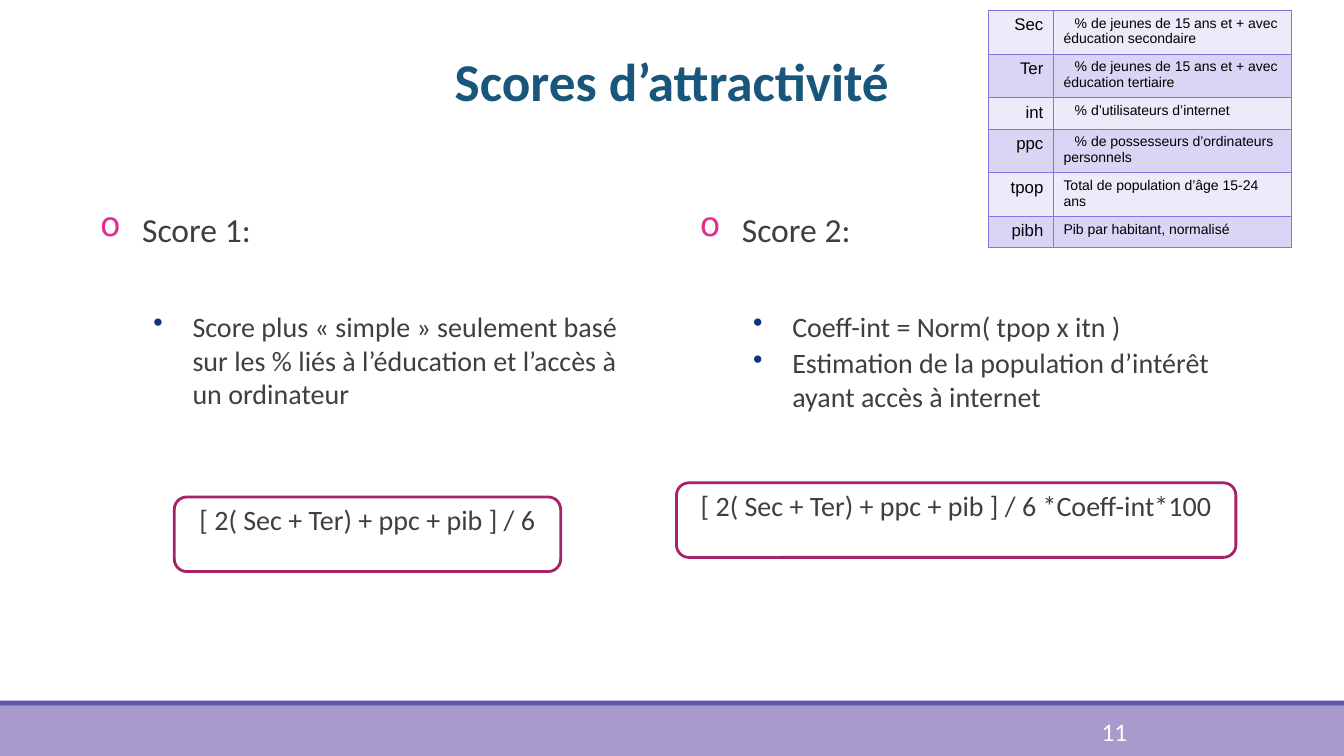
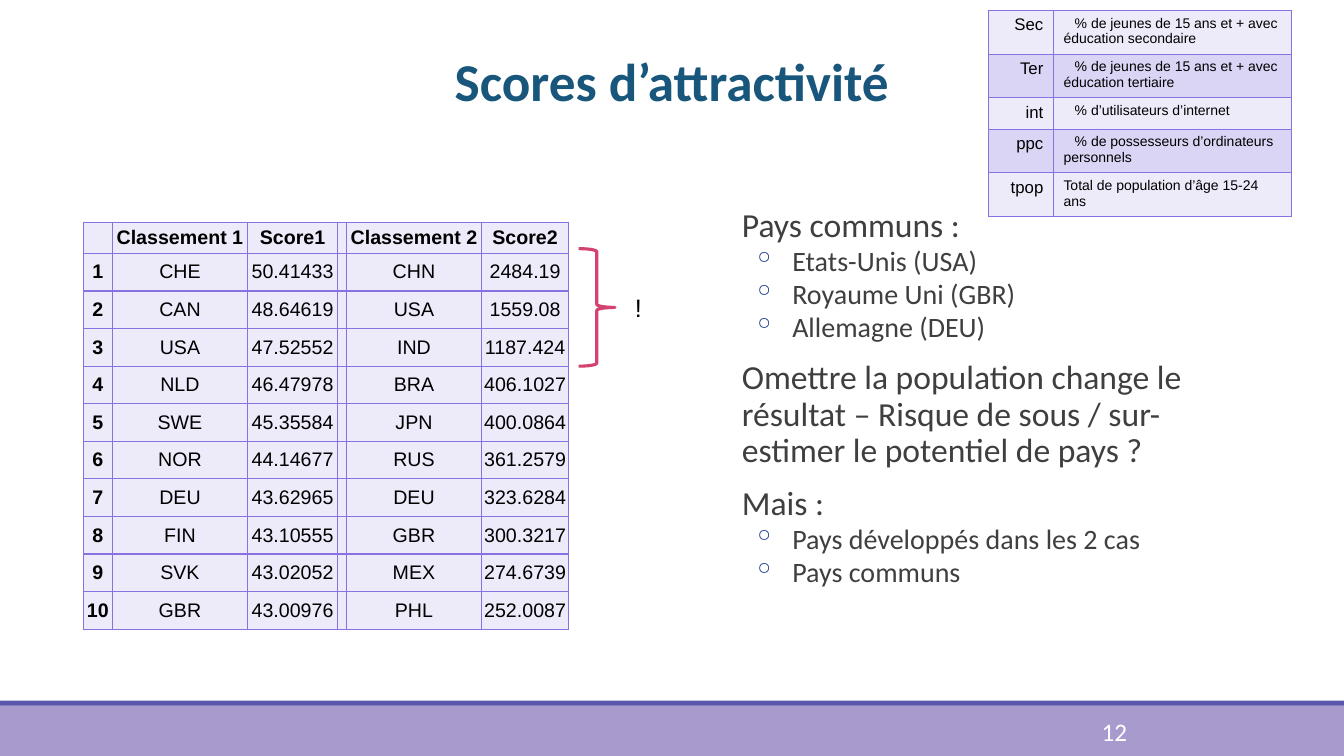
from lxml import etree
from pptx import Presentation
from pptx.dml.color import RGBColor
from pptx.enum.shapes import MSO_SHAPE as Preset
from pptx.enum.text import MSO_ANCHOR as Anchor, PP_ALIGN as Align
from pptx.oxml.ns import qn
from pptx.util import Pt

PAGE_WIDTH, PAGE_HEIGHT = 960, 540
TITLE = "Scores d’attractivité"
TITLE_COLOR, TEXT, BLACK, WHITE = "18567C", "3F3F3F", "000000", "FFFFFF"
PINK, NAVY, PLUM, ROSE = "E32D91", "113285", "A8216B", "D4426F"
CELL_LIGHT, CELL_DARK, CELL_BORDER = "EDEBF9", "DAD5F4", "8971E1"
BANDS = [(504, 36, "472993", 47), (500.4, 3.6, "211C8E", 74)]
BODY_TOP, BODY_HEIGHT = 145.4, 317
LEFT_BODY, RIGHT_BODY = 65.5, 493.9

# Key, meaning, row height, first-line indent
LEGEND = [
    ("Sec", "% de jeunes de 15 ans et + avec éducation secondaire", 29.5, 8),
    ("Ter", "% de jeunes de 15 ans et + avec éducation tertiaire", 29.5, 8),
    ("int", "% d’utilisateurs d’internet", 22.3, 8),
    ("ppc", "% de possesseurs d’ordinateurs personnels", 29.5, 8),
    ("tpop", "Total de population d’âge 15-24 ans", 29.5, 0),
    ("pibh", "Pib par habitant, normalisé", 22.3, 0),
]
RANKING_HEAD = ("", "Classement 1", "Score1", "", "Classement 2", "Score2")
RANKING = [
    ("CHE", "50.41433", "CHN", "2484.19"),
    ("CAN", "48.64619", "USA", "1559.08"),
    ("USA", "47.52552", "IND", "1187.424"),
    ("NLD", "46.47978", "BRA", "406.1027"),
    ("SWE", "45.35584", "JPN", "400.0864"),
    ("NOR", "44.14677", "RUS", "361.2579"),
    ("DEU", "43.62965", "DEU", "323.6284"),
    ("FIN", "43.10555", "GBR", "300.3217"),
    ("SVK", "43.02052", "MEX", "274.6739"),
    ("GBR", "43.00976", "PHL", "252.0087"),
]


def rgb(color):
    return RGBColor.from_string(color)


def points(*lengths):
    return [Pt(length) for length in lengths]


def add_span(para, text, size, color=TEXT, font="Calibri", bold=False):
    span = para.add_run()
    span.text = text
    span.font.size = Pt(size)
    span.font.name = font
    span.font.bold = bold
    span.font.color.rgb = rgb(color)


def set_indent(para, left, first=0, bullet=None, bullet_color=NAVY):
    props = para._p.get_or_add_pPr()
    props.set("marL", str(Pt(left)))
    props.set("indent", str(Pt(first)))
    if bullet:
        color = etree.SubElement(props, qn("a:buClr"))
        etree.SubElement(color, qn("a:srgbClr"), val=bullet_color)
        etree.SubElement(props, qn("a:buChar"), char=bullet)


def set_margins(target, left, top, right, bottom):
    """Set the inner margins of a text frame or a table cell."""
    target.margin_left, target.margin_top, target.margin_right, target.margin_bottom = points(
        left, top, right, bottom)


def add_text_box(page, left, top, width, height):
    frame = page.shapes.add_textbox(*points(left, top, width, height)).text_frame
    frame.word_wrap = True
    return frame


def add_body(page, left, width, items, spacing=1):
    """Add a text column; each item is (text, size, space before, indent arguments)."""
    frame = add_text_box(page, left, BODY_TOP, width, BODY_HEIGHT)
    set_margins(frame, 0, 3.6, 0, 3.6)
    for index, (text, size, before, indent) in enumerate(items):
        para = frame.add_paragraph() if index else frame.paragraphs[0]
        para.space_before = Pt(before)
        para.line_spacing = spacing
        set_indent(para, *indent)
        add_span(para, text, size)


def add_outline(page, preset, left, top, width, height, color, weight):
    shape = page.shapes.add_shape(preset, *points(left, top, width, height))
    shape.shadow.inherit = False
    shape.fill.background()
    shape.line.color.rgb = rgb(color)
    shape.line.width = Pt(weight)
    return shape


def add_formula(page, left, top, width, text):
    box = add_outline(page, Preset.ROUNDED_RECTANGLE, left, top, width, 53.3, PLUM, 2)
    frame = box.text_frame
    frame.word_wrap = True
    frame.vertical_anchor = Anchor.TOP
    set_margins(frame, 7.2, 1.5, 7.2, 3.6)
    frame.paragraphs[0].alignment = Align.CENTER
    add_span(frame.paragraphs[0], text, 20)


def add_plain_table(page, left, top, widths, heights):
    frame = page.shapes.add_table(len(heights), len(widths),
                                  *points(left, top, sum(widths), sum(heights)))
    table = frame.table
    table.first_row = table.horz_banding = False
    for column, width in zip(table.columns, widths):
        column.width = Pt(width)
    for row, height in zip(table.rows, heights):
        row.height = Pt(height)
    return table


def style_cell(cell, color):
    props = cell._tc.get_or_add_tcPr()
    for side in ("lnL", "lnR", "lnT", "lnB"):
        line = etree.SubElement(props, qn(f"a:{side}"), w=str(Pt(1)))
        fill = etree.SubElement(line, qn("a:solidFill"))
        etree.SubElement(fill, qn("a:srgbClr"), val=CELL_BORDER)
    cell.fill.solid()
    cell.fill.fore_color.rgb = rgb(color)


def add_legend(page, rows):
    table = add_plain_table(page, 706.3, 7.4, [46.2, 169.8], [row[2] for row in rows])
    for index, (key, meaning, _, indent) in enumerate(rows):
        key_cell, meaning_cell = table.cell(index, 0), table.cell(index, 1)
        for cell in (key_cell, meaning_cell):
            style_cell(cell, CELL_DARK if index % 2 else CELL_LIGHT)
        key_para = key_cell.text_frame.paragraphs[0]
        key_para.alignment = Align.RIGHT
        add_span(key_para, key, 12, BLACK, "Arial")
        meaning_para = meaning_cell.text_frame.paragraphs[0]
        set_indent(meaning_para, 0, indent)
        add_span(meaning_para, meaning, 10, BLACK, "Arial")


def add_ranking(page):
    rows = [RANKING_HEAD]
    for rank, (first, score1, second, score2) in enumerate(RANKING, 1):
        rows.append((str(rank), first, score1, "", second, score2))
    table = add_plain_table(page, 59.5, 158.7, [20.8, 96.6, 64.3, 6.3, 96.6, 62.2],
                            [22.3] + [26.85] * len(RANKING))
    for row, values in enumerate(rows):
        for column, value in enumerate(values):
            cell = table.cell(row, column)
            style_cell(cell, CELL_LIGHT)
            set_margins(cell, 0.7, 0, 0.7, 0)
            cell.vertical_anchor = Anchor.MIDDLE
            if value:
                para = cell.text_frame.paragraphs[0]
                para.alignment = Align.CENTER
                add_span(para, value, 14, BLACK, "Arial", row == 0 or column == 0)


def add_layout_bands(page):
    """Draw the bottom bands and move them to the layout that all slides share."""
    for index, (top, height, color, alpha) in enumerate(BANDS):
        band = page.shapes.add_shape(Preset.RECTANGLE, *points(0, top, PAGE_WIDTH, height))
        band.shadow.inherit = False
        band.fill.solid()
        band.fill.fore_color.rgb = rgb(color)
        band.line.fill.background()
        color_node = band.element.find(".//" + qn("a:srgbClr"))
        etree.SubElement(color_node, qn("a:alpha"), val=str(alpha * 1000))
        band.element.find(".//" + qn("p:cNvPr")).set("id", str(20 + index))
        page.slide_layout.shapes.element.append(band.element)


def add_page(deck, number):
    page = deck.slides.add_slide(deck.slide_layouts[5])
    title = page.shapes.title
    title.left, title.top, title.width, title.height = points(66, 28, 828, 66)
    title.text_frame.vertical_anchor = Anchor.MIDDLE
    para = title.text_frame.paragraphs[0]
    para.alignment = Align.CENTER
    para.line_spacing = 0.85
    add_span(para, TITLE, 38, TITLE_COLOR, bold=True)
    footer = add_text_box(page, 779.8, 508.3, 103, 28.8)
    add_span(footer.paragraphs[0], number, 18, WHITE)
    return page


def add_scores_page(deck):
    page = add_page(deck, "11")
    add_layout_bands(page)
    heading, bullet = (36, -30, "o", PINK), (72, -28, "•")
    add_body(page, LEFT_BODY, 389, [
        ("Score 1:", 24, 0, heading),
        ("Score plus «\u00a0simple\u00a0» seulement basé sur les % liés à l’éducation"
         " et l’accès à un ordinateur", 20, 43.3, bullet),
    ])
    add_body(page, RIGHT_BODY, 400, [
        ("Score 2:", 24, 0, heading),
        ("Coeff-int = Norm( tpop x itn )", 20, 43.3, bullet),
        ("Estimation de la population d’intérêt ayant accès à internet", 20, 2, bullet),
    ])
    add_legend(page, LEGEND)
    add_formula(page, 124.5, 355, 276, "[ 2( Sec + Ter) + ppc + pib ] / 6")
    add_formula(page, 483.2, 344.9, 399.6,
                "[ 2( Sec + Ter) + ppc + pib ] / 6 *Coeff-int*100")


def add_ranking_page(deck):
    page = add_page(deck, "12")
    heading, bullet = (36,), (72, -28, "◦")
    add_legend(page, LEGEND[:5])
    add_body(page, RIGHT_BODY, 389, [
        ("Pays communs :", 24, 0, heading),
        ("Etats-Unis (USA)", 20, 2, bullet),
        ("Royaume Uni (GBR)", 20, 2, bullet),
        ("Allemagne (DEU)", 20, 2, bullet),
        ("Omettre la population change le résultat – Risque de sous / sur-estimer"
         " le potentiel de pays ?", 24, 12, heading),
        ("Mais :", 24, 12, heading),
        ("Pays développés dans les 2 cas", 20, 2, bullet),
        ("Pays communs", 20, 2, bullet),
    ], 0.9)
    add_ranking(page)
    add_outline(page, Preset.RIGHT_BRACE, 413.3, 177.6, 26, 84, ROSE, 2.25)
    remark = add_text_box(page, 446.4, 205.2, 26, 29)
    add_span(remark.paragraphs[0], "!", 18, BLACK, "Arial")


def main():
    deck = Presentation()
    deck.slide_width, deck.slide_height = points(PAGE_WIDTH, PAGE_HEIGHT)
    add_scores_page(deck)
    add_ranking_page(deck)
    deck.save("out.pptx")


if __name__ == "__main__":
    main()
